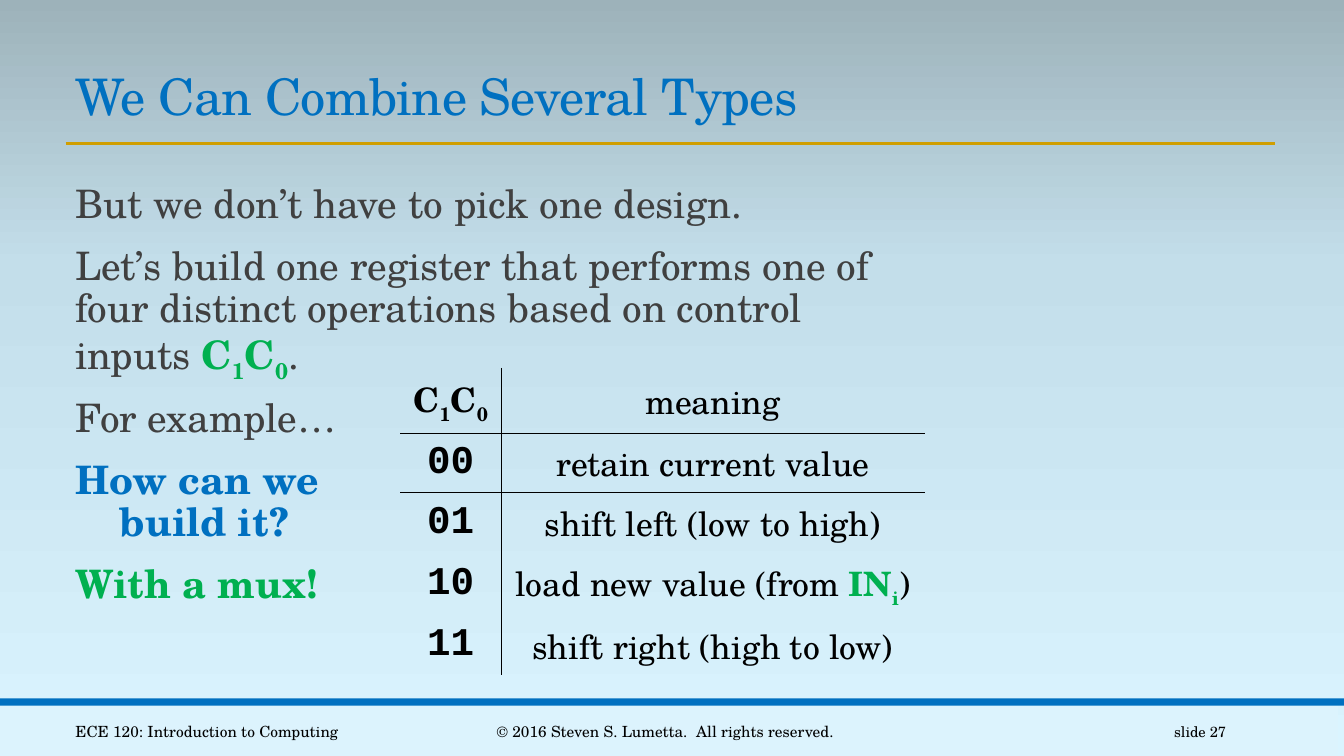
"""Build the slide on combining register types, with its table of control inputs."""
from copy import deepcopy

from lxml import etree
from pptx import Presentation
from pptx.dml.color import RGBColor
from pptx.enum.shapes import MSO_CONNECTOR, MSO_SHAPE
from pptx.enum.text import MSO_ANCHOR, PP_ALIGN
from pptx.oxml.ns import qn
from pptx.util import Inches, Pt

LEFT, CENTER, RIGHT = PP_ALIGN.LEFT, PP_ALIGN.CENTER, PP_ALIGN.RIGHT
TOP, MIDDLE, BOTTOM = MSO_ANCHOR.TOP, MSO_ANCHOR.MIDDLE, MSO_ANCHOR.BOTTOM
SERIF, MONO = "TeX Gyre Schola", "Courier New"
BLUE, GREEN, GRAY, BLACK, GOLD = "0070C0", "00B050", "404040", "000000", "D09E00"
PLAIN_TABLE = "{2D5ABB26-0587-4C30-8999-92F81FD0307C}"

BACKGROUND = [(0, "DAF4FF"), (0.65, "C3DEEA"), (1, "9DB2BA")]
BANDS = [((-0.06, 7, 13.33, 0.5), "DCF3FD"), ((0, 6.93, 13.33, 0.07), BLUE)]
TITLE = "We Can Combine Several Types"


def control_inputs(color):
    """Return the runs of the control input name as (text, color, bold, subscript)."""
    return [(text, color, True, text.isdigit()) for text in "C1C0"]


BODY = [
    [("But we don’t have to pick one design.", GRAY, False, False)],
    [("Let’s build one register that performs one of four distinct operations "
      "based on control inputs ", GRAY, False, False),
     *control_inputs(GREEN), (".", GRAY, False, False)],
    [("For example…", GRAY, False, False)],
    [("How can we", BLUE, True, False)],
    [("build it?", BLUE, True, False)],
    [("With a mux!", GREEN, True, False)],
]
CONTINUED = 4
FOOTERS = [
    ("ECE 120: Introduction to Computing", 0.65, 3.25, LEFT, 11),
    ("© 2016 Steven S. Lumetta.  All rights reserved.", 4.03, 5.14, CENTER, 11),
    ("slide 27", 10.83, 1.43, RIGHT, 10.5),
]
OPERATIONS = [
    ("00", [("retain current value", BLACK, False, False)]),
    ("01", [("shift left (low to high)", BLACK, False, False)]),
    ("10", [("load new value (from ", BLACK, False, False), ("IN", GREEN, True, False),
            ("i", GREEN, True, True), (")", BLACK, False, False)]),
    ("11", [("shift right (high to low)", BLACK, False, False)]),
]
COLUMN_WIDTHS = [1, 4.2]
ROW_HEIGHTS = [0.65, 0.59, 0.59, 0.63, 0.59]


def rgb(color):
    """Turn a hex string into a color."""
    return RGBColor.from_string(color)


def write(paragraph, runs, size, font=SERIF, align=LEFT):
    """Fill a paragraph with runs of (text, color, bold, subscript)."""
    paragraph.alignment = align
    paragraph.font.size, paragraph.font.name = Pt(size), font
    for text, color, bold, subscript in runs:
        run = paragraph.add_run()
        run.text = text
        run.font.size, run.font.name = Pt(size), font
        run.font.bold = bold
        run.font.color.rgb = rgb(color)
        if subscript:
            run.font._element.set("baseline", "-25000")


def add_box(slide, box, anchor):
    """Add an empty wrapping text box."""
    text_box = slide.shapes.add_textbox(*map(Inches, box))
    text_box.text_frame.word_wrap = True
    text_box.text_frame.vertical_anchor = anchor
    return text_box


def add_border(cell, side):
    """Draw a thin black line on one side of a cell."""
    line = etree.SubElement(cell._tc.get_or_add_tcPr(), qn(f"a:ln{side}"), w=str(Pt(1)))
    fill = etree.SubElement(line, qn("a:solidFill"))
    etree.SubElement(fill, qn("a:srgbClr"), val=BLACK)


def add_backdrop(slide):
    """Add the gradient, the footer bands and the rule under the title."""
    fill = slide.background.fill
    fill.gradient()
    fill.gradient_angle = 90
    stop_list = slide.element.xpath(".//a:gsLst")[0]
    stop_list.insert(1, deepcopy(stop_list[0]))
    for stop, (position, color) in zip(fill.gradient_stops, BACKGROUND):
        stop.position, stop.color.rgb = position, rgb(color)
    for box, color in BANDS:
        band = slide.shapes.add_shape(MSO_SHAPE.RECTANGLE, *map(Inches, box))
        band.shadow.inherit = False
        band.fill.solid()
        band.fill.fore_color.rgb = rgb(color)
        band.line.fill.background()
    rule = slide.shapes.add_connector(
        MSO_CONNECTOR.STRAIGHT, *map(Inches, (0.65, 1.42, 12.65, 1.42)))
    rule.line.color.rgb, rule.line.width = rgb(GOLD), Pt(2)
    etree.SubElement(rule.element.spPr, qn("a:effectLst"))


def add_texts(slide):
    """Add the title, the body and the footers."""
    title = add_box(slide, (0.65, 0.59, 12.01, 0.71), BOTTOM)
    heading = title.text_frame.paragraphs[0]
    write(heading, [(TITLE, BLUE, False, False)], 36)
    heading.line_spacing = 0.85
    title.element.xpath(".//a:rPr")[0].set("spc", "-50")

    body = add_box(slide, (0.65, 1.78, 8.52, 4.64), TOP)
    frame = body.text_frame
    frame.margin_left = frame.margin_right = 0
    for index, runs in enumerate(BODY):
        paragraph = frame.add_paragraph() if index else frame.paragraphs[0]
        write(paragraph, runs, 28)
        paragraph.line_spacing = 0.9
        paragraph.space_before = Pt(0 if index == CONTINUED else 12)
        paragraph.space_after = Pt(0 if index + 1 == CONTINUED else 2)
        indent = Inches(0.54 if index == CONTINUED else 0.1)
        paragraph._p.get_or_add_pPr().set("marL", str(indent))

    for text, left, width, align, size in FOOTERS:
        footer = add_box(slide, (left, 7.06, width, 0.4), MIDDLE)
        write(footer.text_frame.paragraphs[0], [(text, BLACK, False, False)], size, align=align)


def add_operations(slide):
    """Add the table of control inputs and their meanings."""
    rows = [(control_inputs(BLACK), [("meaning", BLACK, False, False)])]
    rows += [([(code, BLACK, True, False)], meaning) for code, meaning in OPERATIONS]
    frame = slide.shapes.add_table(
        len(rows), len(COLUMN_WIDTHS), Inches(3.97), Inches(3.65),
        Inches(sum(COLUMN_WIDTHS)), Inches(sum(ROW_HEIGHTS)))
    table = frame.table
    table.first_row = table.horz_banding = False
    frame.element.xpath(".//a:tableStyleId")[0].text = PLAIN_TABLE
    for column, width in zip(table.columns, COLUMN_WIDTHS):
        column.width = Inches(width)
    for row, height in zip(table.rows, ROW_HEIGHTS):
        row.height = Inches(height)
    for r, row in enumerate(rows):
        for c, runs in enumerate(row):
            cell = table.cell(r, c)
            cell.vertical_anchor = MIDDLE
            is_code = r > 0 and c == 0
            write(cell.text_frame.paragraphs[0], runs, 28 if is_code else 24,
                  MONO if is_code else SERIF, CENTER)
            add_border(cell, "L" if c else "R")
            if r < 2:
                add_border(cell, "T" if r else "B")
            cell.fill.background()


def main():
    """Build and save the slide."""
    deck = Presentation()
    deck.slide_width, deck.slide_height = Inches(13.33), Inches(7.5)
    slide = deck.slides.add_slide(deck.slide_layouts[6])
    add_backdrop(slide)
    add_texts(slide)
    add_operations(slide)
    deck.save("out.pptx")


if __name__ == "__main__":
    main()
